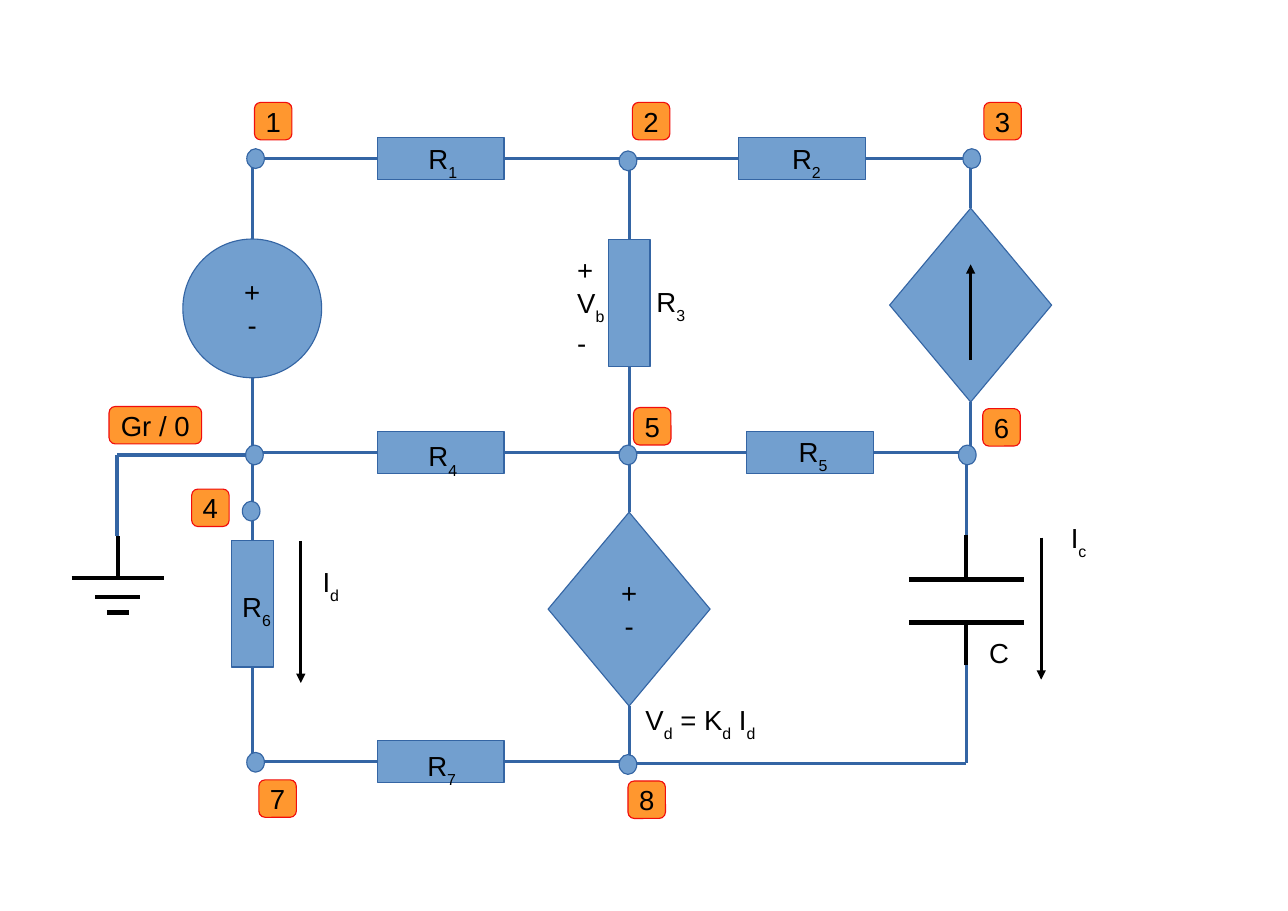
from dataclasses import dataclass
from itertools import pairwise

from lxml.etree import SubElement
from pptx import Presentation
from pptx.dml.color import RGBColor as RGB
from pptx.enum.shapes import MSO_CONNECTOR as Cxn, MSO_SHAPE as Shape
from pptx.enum.text import MSO_ANCHOR as Anchor, PP_ALIGN as Align
from pptx.oxml.ns import qn
from pptx.util import Inches, Pt


@dataclass(frozen=True)
class Theme:
    component: RGB = RGB(0x72, 0x9F, 0xCF)
    wire: RGB = RGB(0x34, 0x65, 0xA4)
    badge: RGB = RGB(0xFF, 0x97, 0x2F)
    badge_edge: RGB = RGB(0xF1, 0x0D, 0x0C)
    ink: RGB = RGB(0, 0, 0)
    font: str = "Arial"
    size: float = 18
    hairline: float = 0
    heavy: float = 2.83


THEME = Theme()

# Grid: square cells of a tenth of an inch; circuit columns and rows on it
CELL = Inches(0.1)
LEFT, MIDDLE, RIGHT, CAP = 22.9, 57.1, 88.1, 87.7
TOP, CENTRE, BOTTOM = 14.4, 41.1, 69.1
SIDE_TOP, SIDE_LEFT, SIDE_BOTTOM, SIDE_RIGHT = range(4)
LONG, SHORT = 11.5, 3.8


def grid(*cells):
    return [round(c * CELL) for c in cells]


def write(tf, text, *, align=Align.LEFT, anchor=Anchor.TOP, wrap=True):
    """Fill a text frame; the character after an underscore is a subscript."""
    tf.word_wrap = wrap
    tf.vertical_anchor = anchor
    for i, row in enumerate(text.split("\n")):
        p = tf.paragraphs[0] if i == 0 else tf.add_paragraph()
        p.alignment = align
        first, *rest = row.split("_")
        pieces = [(first, False)]
        for piece in rest:
            pieces += [(piece[0], True), (piece[1:], False)]
        for piece, lowered in pieces:
            if not piece:
                continue
            r = p.add_run()
            r.text = piece
            r.font.name, r.font.size = THEME.font, Pt(THEME.size)
            r.font.color.rgb = THEME.ink
            if lowered:
                r.font._element.set("baseline", "-33000")


def block(s, kind, x, y, w, h, text="", fill=THEME.component, edge=THEME.wire):
    """Filled shape centred on the grid point x, y."""
    sp = s.shapes.add_shape(kind, *grid(x - w / 2, y - h / 2, w, h))
    sp.shadow.inherit = False
    sp.fill.solid()
    sp.fill.fore_color.rgb = fill
    sp.line.color.rgb = edge
    sp.line.width = Pt(THEME.hairline)
    if text:
        write(sp.text_frame, text, align=Align.CENTER, anchor=Anchor.MIDDLE, wrap=False)
    return sp


def resistor(s, x, y, upright=False):
    w, h = (SHORT, LONG) if upright else (LONG, SHORT)
    return block(s, Shape.RECTANGLE, x, y, w, h)


def badge(s, x, y, text, w=3.4):
    block(s, Shape.ROUNDED_RECTANGLE, x, y, w, 3.4, text, THEME.badge, THEME.badge_edge)


def label(s, x, y, w, h, text):
    box = s.shapes.add_textbox(*grid(x, y, w, h))
    write(box.text_frame, text)


def line(s, start, end, color=THEME.wire, width=THEME.hairline, arrow=False):
    c = s.shapes.add_connector(Cxn.STRAIGHT, *grid(*start, *end))
    c.line.color.rgb = color
    c.line.width = Pt(width)
    sp_pr = c._element.spPr
    if arrow:
        SubElement(sp_pr.find(qn("a:ln")), qn("a:tailEnd"), type="triangle")
    SubElement(sp_pr, qn("a:effectLst"))
    return c


def wire(s, *points, **style):
    for start, end in pairwise(points):
        line(s, start, end, **style)


def lead(s, sp, side, x, y):
    """Wire from the middle of a component's side to a grid point."""
    line(s, (x, y), (x, y)).begin_connect(sp, side)


def main():
    prs = Presentation()
    prs.slide_width, prs.slide_height = Inches(11.69), Inches(8.27)
    s = prs.slides.add_slide(prs.slide_layouts[6])

    # Horizontal resistors with a lead to the node column on each side
    for x, y, start, end in [
        (40, TOP, LEFT, MIDDLE), (72.8, TOP, MIDDLE, RIGHT),
        (40, CENTRE, LEFT, MIDDLE), (73.5, CENTRE, MIDDLE, CAP),
        (40, BOTTOM, LEFT, MIDDLE),
    ]:
        sp = resistor(s, x, y)
        lead(s, sp, SIDE_LEFT, start, y)
        lead(s, sp, SIDE_RIGHT, end, y)

    # Upright resistors and controlled sources between two rows
    r3 = resistor(s, MIDDLE, 27.5, upright=True)
    r6 = resistor(s, LEFT, 54.8, upright=True)
    current = block(s, Shape.DIAMOND, RIGHT, 27.7, 14.7, 17.6)
    voltage = block(s, Shape.DIAMOND, MIDDLE, 55.3, 14.7, 17.6, "+\n-")
    for sp, x, upper, lower in [
        (r3, MIDDLE, TOP, CENTRE), (r6, LEFT, CENTRE, BOTTOM),
        (current, RIGHT, TOP, CENTRE), (voltage, MIDDLE, CENTRE, BOTTOM),
    ]:
        lead(s, sp, SIDE_TOP, x, upper)
        lead(s, sp, SIDE_BOTTOM, x, lower)

    # Independent voltage source
    source = block(s, Shape.OVAL, LEFT, 28, 12.6, 12.6, "+\n-")
    lead(s, source, SIDE_TOP, LEFT, TOP)
    wire(s, (LEFT, 34.3), (LEFT, CENTRE))

    # Capacitor
    wire(s, (CAP, CENTRE), (CAP, 48.6))
    wire(s, (CAP, 60.4), (CAP, 69.3), (MIDDLE, 69.3))
    for plate, end in [(52.6, 48.6), (56.5, 60.4)]:
        wire(s, (CAP, end), (CAP, plate), color=THEME.ink, width=THEME.heavy)
        wire(s, (CAP - 5.2, plate), (CAP + 5.2, plate), color=THEME.ink, width=THEME.heavy)

    # Ground
    wire(s, (22.4, 41.3), (10.6, 41.3), (10.6, 48.7), width=THEME.heavy)
    wire(s, (10.7, 48.7), (10.7, 52.5), color=THEME.ink, width=THEME.heavy)
    for y, half in [(52.5, 4.2), (54.2, 2.05), (55.6, 1)]:
        wire(s, (10.7 - half, y), (10.7 + half, y), color=THEME.ink, width=THEME.heavy)

    # Current arrows
    for start, end in [
        ((RIGHT, 32.7), (RIGHT, 24)),
        ((27.3, 49.1), (27.3, 62)),
        ((94.5, 48.8), (94.5, 61.7)),
    ]:
        line(s, start, end, color=THEME.ink, arrow=True)

    # Node dots
    for x, y in [
        (23.2, 14.4), (57, 14.6), (88.2, 14.4),
        (23.1, 41.3), (57, 41.3), (87.8, 41.3),
        (22.8, 46.4), (23.2, 69.2), (57, 69.4),
    ]:
        block(s, Shape.OVAL, x, y, 1.6, 1.8)

    # Node numbers
    for x, y, text in [
        (24.8, 11, "1"), (59.1, 11, "2"), (91, 11, "3"),
        (19.1, 46.1, "4"), (59.2, 38.7, "5"), (90.9, 38.8, "6"),
        (25.2, 72.5, "7"), (58.7, 72.6, "8"),
    ]:
        badge(s, x, y, text)
    badge(s, 14.1, 38.6, "Gr / 0", w=8.4)

    # Component names and quantities
    for x, y, w, h, text in [
        (37.9, 12.4, 5.1, 4.4, "R_1"), (70.9, 12.4, 5.9, 4.4, "R_2"),
        (58.6, 25.4, 5, 4.6, "R_3"), (37.9, 39.4, 5.4, 4.4, "R_4"),
        (71.5, 39, 5.5, 4.5, "R_5"), (21, 53.1, 8, 7.6, "R_6"),
        (37.8, 67.5, 5.3, 4.4, "R_7"), (88.8, 57.2, 4.9, 4.2, "C"),
        (51.4, 22.5, 5, 10, "+\nV_b\n-"), (57.6, 63.3, 22, 7.6, "V_d = K_d I_d"),
        (28.3, 50.8, 12.6, 12.5, "I_d"), (96.2, 46.8, 14.8, 7.6, "I_c"),
    ]:
        label(s, x, y, w, h, text)

    prs.save("out.pptx")


if __name__ == "__main__":
    main()
